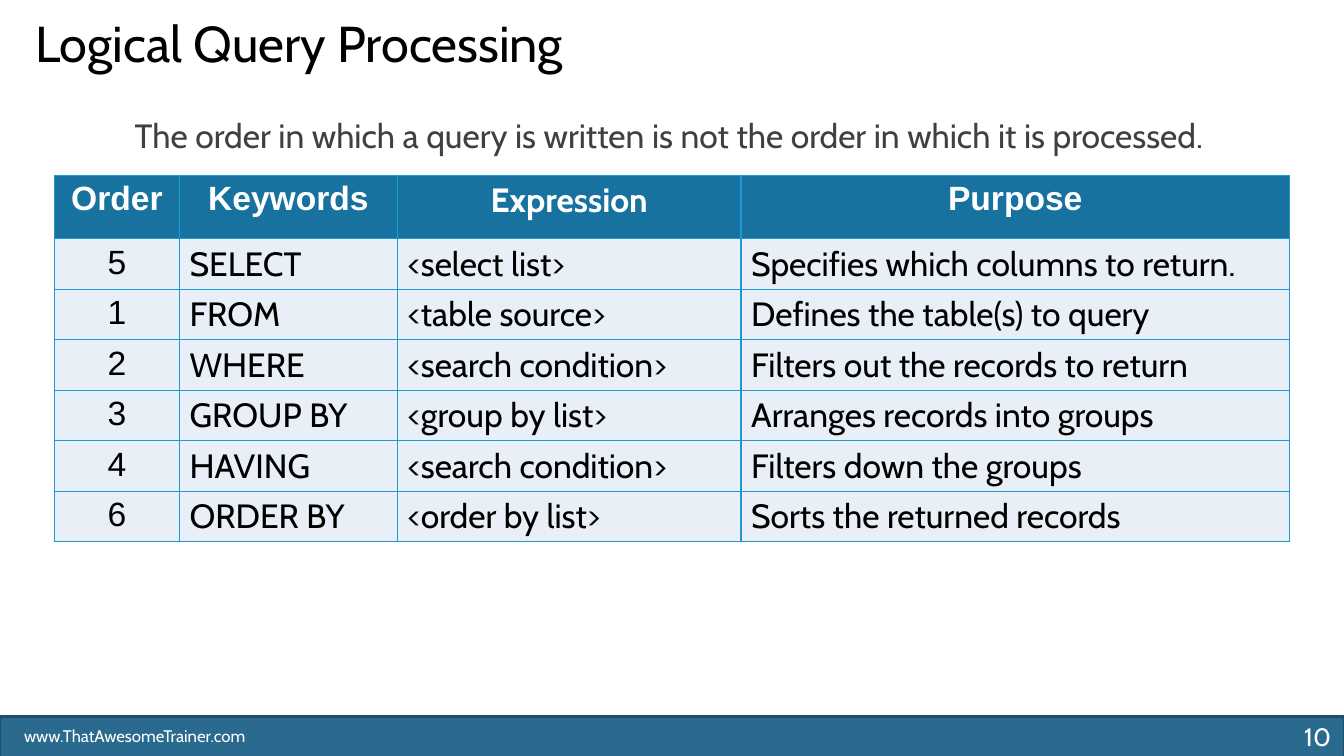
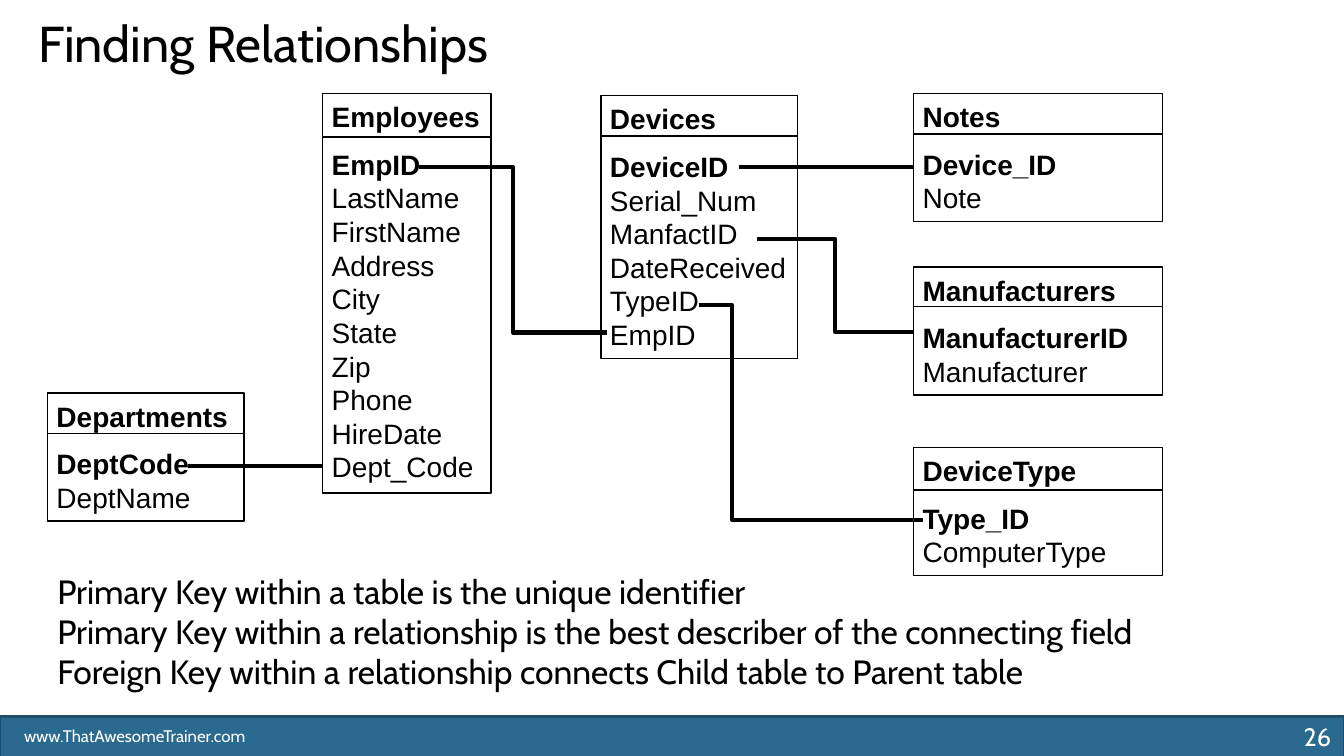
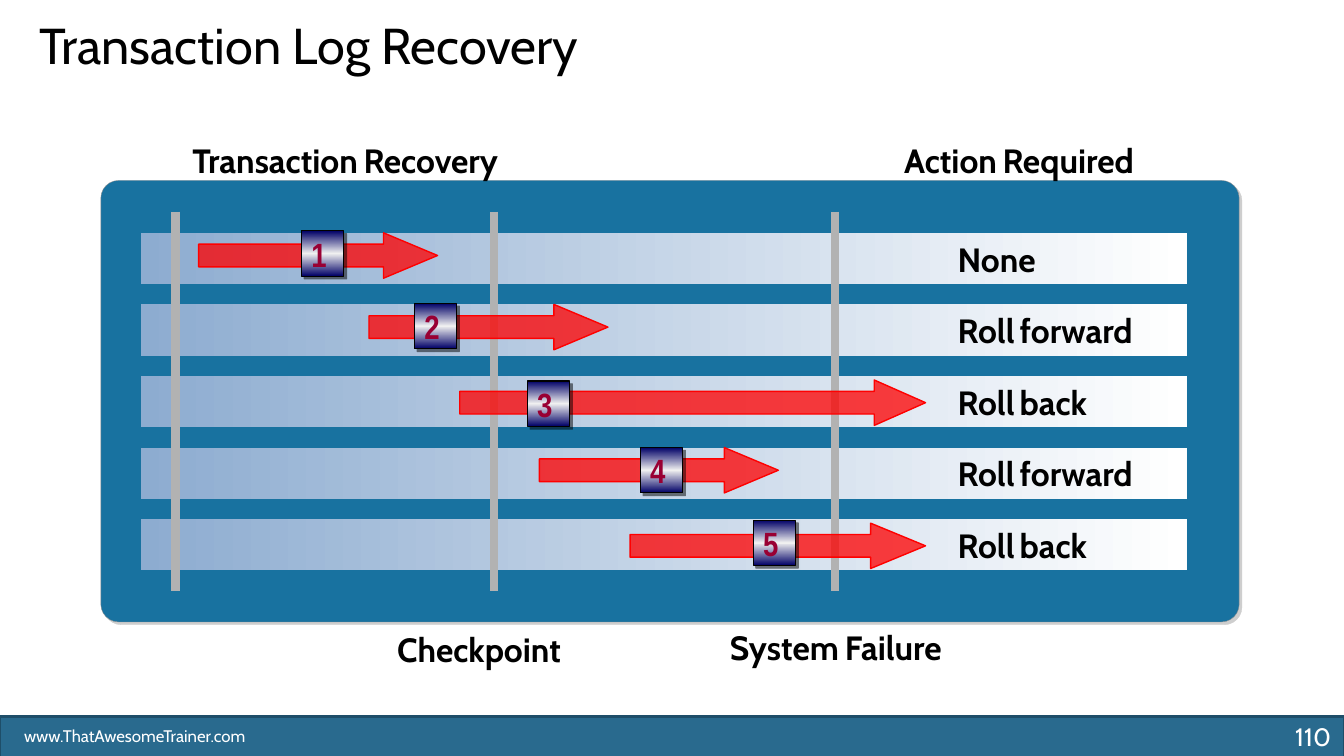
from lxml.etree import SubElement
from pptx import Presentation
from pptx.dml.color import RGBColor
from pptx.enum.shapes import MSO_CONNECTOR, MSO_SHAPE
from pptx.enum.text import MSO_ANCHOR, PP_ALIGN
from pptx.oxml.ns import qn
from pptx.util import Inches, Pt

COLORS = {
    "black": "000000", "white": "FFFFFF", "gray_text": "404040",
    "footer": "296A8E", "footer_edge": "1E4E69",
    "blue": "1872A0", "cell": "E8EFF7", "cell_edge": "2098D5",
    "panel_edge": "919191", "panel_shadow": "CECECE",
    "band": "8DACD0", "marker": "B2B2B2", "red": "FF0000",
    "navy": "000066", "silver": "F0F0F0", "crimson": "990033",
}
HEADING_FONT = "Cabin"
BODY_FONT = "Arial"

ORDER_TABLE = [
    ("Order", "Keywords", "Expression", "Purpose"),
    ("5", "SELECT", "<select list>", "Specifies which columns to return."),
    ("1", "FROM", "<table source>", "Defines the table(s) to query"),
    ("2", "WHERE", "<search condition>", "Filters out the records to return"),
    ("3", "GROUP BY", "<group by list>", "Arranges records into groups"),
    ("4", "HAVING", "<search condition>", "Filters down the groups"),
    ("6", "ORDER BY", "<order by list>", "Sorts the returned records"),
]
COLUMN_WIDTHS = (1.24, 2.16, 3.41, 5.44)

# name, left, top, width, height, rule height, key field, other fields
ENTITIES = [
    ("Employees", 3.2, 0.93, 1.67, 3.96, 1.36, "EmpID",
     ["LastName", "FirstName", "Address", "City", "State", "Zip", "Phone",
      "HireDate", "Dept_Code"]),
    ("Devices", 5.96, 0.95, 1.95, 2.61, 1.35, "DeviceID",
     ["Serial_Num", "ManfactID", "DateReceived", "TypeID", "EmpID"]),
    ("Departments", 0.47, 3.9, 1.95, 1.27, 4.3, "DeptCode", ["DeptName"]),
    ("Notes", 9.06, 0.93, 2.47, 1.27, 1.33, "Device_ID", ["Note"]),
    ("Manufacturers", 9.06, 2.65, 2.47, 1.27, 3.04, "ManufacturerID", ["Manufacturer"]),
    ("DeviceType", 9.06, 4.44, 2.47, 1.27, 4.86, "Type_ID", ["ComputerType"]),
]
# start, end, share of the width at which an elbow turns
RELATIONS = [
    ((4.16, 1.66), (6.02, 3.3), 0.5),
    ((7.51, 2.37), (9.06, 3.29), 0.5),
    ((6.93, 3.03), (9.15, 5.16), 0.15),
    ((7.33, 1.66), (9.06, 1.66), None),
    ((1.86, 4.62), (3.2, 4.62), None),
]
KEY_NOTES = [
    "Primary Key within a table is the unique identifier",
    "Primary Key within a relationship is the best describer of the connecting field",
    "Foreign Key within a relationship connects Child table to Parent table",
]
# action, arrow left, arrow top, arrow width, arrow head ratio, badge top
TRANSACTIONS = [
    ("None", 1.97, 2.31, 2.37, 1.19, 2.29),
    ("Roll forward", 3.66, 3.02, 2.37, 1.19, 3.01),
    ("Roll back", 4.56, 3.77, 4.62, 1.13, 3.78),
    ("Roll forward", 5.35, 4.44, 2.37, 1.19, 4.44),
    ("Roll back", 6.25, 5.19, 2.93, 1.21, 5.16),
]


def rgb(name):
    return RGBColor.from_string(COLORS[name])


def write(frame, paragraphs, size=24, font=HEADING_FONT, color="black", bold=False,
          align=PP_ALIGN.LEFT, spacing=None, after=0, anchor=MSO_ANCHOR.TOP,
          insets=(0.1, 0.05, 0.1, 0.05)):
    """Fill a frame; a paragraph is a string or a list of (text, overrides) spans.

    The space after applies to the first paragraph only.
    """
    frame.word_wrap = True
    frame.vertical_anchor = anchor
    (frame.margin_left, frame.margin_top,
     frame.margin_right, frame.margin_bottom) = map(Inches, insets)
    for index, spans in enumerate(paragraphs):
        para = frame.add_paragraph() if index else frame.paragraphs[0]
        para.alignment = align
        if spacing:
            para.line_spacing = spacing
        if after and index == 0:
            para.space_after = Pt(after)
        for text, changes in [(spans, {})] if isinstance(spans, str) else spans:
            look = {"size": size, "bold": bold, **changes}
            span = para.add_run()
            span.text = text
            span.font.name = font
            span.font.size = Pt(look["size"])
            span.font.bold = look["bold"]
            span.font.color.rgb = rgb(color)


def add_text(page, at, paragraphs, **style):
    box = page.shapes.add_textbox(*map(Inches, at))
    write(box.text_frame, paragraphs, **style)


def tight_words(phrase, gap_size):
    """Bold words parted by a smaller, regular space."""
    spans = []
    for word in phrase.split():
        if spans:
            spans.append((" ", {"size": gap_size, "bold": False}))
        spans.append((word, {}))
    return [spans]


def add_shape(page, kind, at, fill=None, edge=None, edge_width=1, adjust=()):
    shape = page.shapes.add_shape(kind, *map(Inches, at))
    shape.shadow.inherit = False
    for index, value in enumerate(adjust):
        shape.adjustments[index] = value
    if fill:
        shape.fill.solid()
        shape.fill.fore_color.rgb = rgb(fill)
    else:
        shape.fill.background()
    if edge:
        shape.line.color.rgb = rgb(edge)
        shape.line.width = Pt(edge_width)
    else:
        shape.line.fill.background()
    return shape


def add_color(parent, name, opacity=100):
    color = SubElement(parent, qn("a:srgbClr"), val=COLORS[name])
    if opacity < 100:
        SubElement(color, qn("a:alpha"), val=str(opacity * 1000))


def set_gradient(shape, names, angle):
    shape.fill.gradient()
    shape.fill.gradient_angle = angle
    stops = shape._element.spPr.find(qn("a:gradFill")).find(qn("a:gsLst"))
    stops.clear()
    for index, name in enumerate(names):
        position = 100000 * index // (len(names) - 1)
        add_color(SubElement(stops, qn("a:gs"), pos=str(position)), name)


def cast_shadow(shape, name, opacity=100):
    effects = shape._element.spPr.find(qn("a:effectLst"))
    shadow = SubElement(effects, qn("a:outerShdw"), blurRad="0",
                        dist=str(Pt(2.8)), dir="2700000", algn="ctr", rotWithShape="0")
    add_color(shadow, name, opacity)


def add_line(page, start, end, color="black", width=1, turn=None):
    kind = MSO_CONNECTOR.STRAIGHT if turn is None else MSO_CONNECTOR.ELBOW
    line = page.shapes.add_connector(kind, *map(Inches, start + end))
    line.line.color.rgb = rgb(color)
    line.line.width = Pt(width)
    properties = line._element.spPr
    SubElement(properties, qn("a:effectLst"))
    if turn is not None:
        guides = properties.find(qn("a:prstGeom")).find(qn("a:avLst"))
        SubElement(guides, qn("a:gd"), name="adj1", fmla=f"val {round(turn * 100000)}")


def add_page(deck, title, number, title_left, title_top=0.18):
    """Blank page with the footer band and the title."""
    page = deck.slides.add_slide(deck.slide_layouts[6])
    add_shape(page, MSO_SHAPE.RECTANGLE, (0, 7.11, 13.33, 0.4), "footer", "footer_edge", 2)
    add_text(page, (0.14, 7.15, 2.55, 0.3), ["www.ThatAwesomeTrainer.com"],
             size=12, color="white")
    add_text(page, (12.52, 7.11, 0.78, 0.4), [str(number)],
             size=18, color="white", align=PP_ALIGN.RIGHT)
    add_text(page, (title_left, title_top, 12, 1.25), [title], size=36, spacing=Pt(35))
    return page


def style_cell(cell, fill):
    properties = cell._tc.get_or_add_tcPr()
    for side in ("lnL", "lnR", "lnT", "lnB"):
        border = SubElement(properties, qn(f"a:{side}"), w=str(Pt(1)))
        add_color(SubElement(border, qn("a:solidFill")), "cell_edge")
    cell.fill.solid()
    cell.fill.fore_color.rgb = rgb(fill)


def add_order_table(page):
    header_height, row_height = 0.63, 0.5
    height = header_height + row_height * (len(ORDER_TABLE) - 1)
    table = page.shapes.add_table(len(ORDER_TABLE), len(COLUMN_WIDTHS), Inches(0.54),
                                  Inches(1.74), Inches(sum(COLUMN_WIDTHS)),
                                  Inches(height)).table
    for column, width in zip(table.columns, COLUMN_WIDTHS):
        column.width = Inches(width)
    for row, values in enumerate(ORDER_TABLE):
        header = row == 0
        table.rows[row].height = Inches(header_height if header else row_height)
        for column, value in enumerate(values):
            cell = table.cell(row, column)
            style_cell(cell, "blue" if header else "cell")
            arial = column == 0 or header and value != "Expression"
            write(cell.text_frame, [value], bold=header,
                  font=BODY_FONT if arial else HEADING_FONT,
                  color="white" if header else "black",
                  align=PP_ALIGN.CENTER if header or column == 0 else PP_ALIGN.LEFT)


def add_entity(page, name, left, top, width, height, rule, key, fields):
    box = add_shape(page, MSO_SHAPE.RECTANGLE, (left, top, width, height), edge="black")
    heading, key_field = ([(text, {"bold": True})] for text in (name, key))
    write(box.text_frame, [heading, key_field, *fields], size=20, font=BODY_FONT,
          spacing=Pt(24), after=10, insets=(0.09, 0.06, 0, 0))
    add_line(page, (left, rule), (left + width, rule))


def add_recovery_chart(page):
    panel = add_shape(page, MSO_SHAPE.ROUNDED_RECTANGLE, (1, 1.79, 11.29, 4.38),
                      "blue", "panel_edge", 0.25, [0.04])
    cast_shadow(panel, "panel_shadow")
    for phrase, at in (("Transaction Recovery", (1.81, 1.34, 4.1, 0.5)),
                       ("Action Required", (8.87, 1.34, 2.93, 0.5)),
                       ("Checkpoint", (3.84, 6.19, 1.99, 0.5)),
                       ("System Failure", (7.14, 6.17, 2.48, 0.5))):
        add_text(page, at, tight_words(phrase, 18), bold=True)

    for index, (action, *_) in enumerate(TRANSACTIONS):
        top = 2.31 + 0.71 * index
        band = add_shape(page, MSO_SHAPE.RECTANGLE, (1.4, top, 10.37, 0.51))
        set_gradient(band, ("band", "white"), 0)
        add_text(page, (9.4, top + 0.1, 2.37, 0.4), tight_words(action, 16),
                 bold=True, spacing=0.75)
    for x in (1.74, 4.9, 8.28):
        add_line(page, (x, 2.1), (x, 5.86), "marker", 6)

    for index, (_, left, top, width, head, badge_top) in enumerate(TRANSACTIONS):
        arrow = add_shape(page, MSO_SHAPE.RIGHT_ARROW, (left, top, width, 0.45),
                          "red", "red", 1, [0.5, head])
        paint = arrow._element.spPr.find(qn("a:solidFill"))
        paint.clear()
        add_color(paint, "red", 75)
        badge = add_shape(page, MSO_SHAPE.RECTANGLE,
                          (2.99 + 1.12 * index, badge_top, 0.42, 0.45),
                          edge="black", edge_width=0.75)
        set_gradient(badge, ("navy", "silver", "navy"), 90)
        cast_shadow(badge, "black", 50)
        write(badge.text_frame, [str(index + 1)], font="Arial Narrow", color="crimson",
              bold=True, anchor=MSO_ANCHOR.MIDDLE, insets=(0.1, 0.05, 0, 0.05))


def main():
    deck = Presentation()
    deck.slide_width, deck.slide_height = Inches(13.33), Inches(7.5)

    page = add_page(deck, "Logical Query Processing", 10, 0.25)
    add_text(page, (0.51, 1.09, 12.25, 0.5),
             ["The order in which a query is written is not the order in which it is processed."],
             color="gray_text", align=PP_ALIGN.CENTER)
    add_order_table(page)

    page = add_page(deck, "Finding Relationships", 26, 0.28)
    for entity in ENTITIES:
        add_entity(page, *entity)
    for start, end, turn in RELATIONS:
        add_line(page, start, end, width=3, turn=turn)
    add_text(page, (0.47, 5.61, 11.81, 1.31), KEY_NOTES)

    page = add_page(deck, "Transaction Log Recovery", 110, 0.29, 0.2)
    add_recovery_chart(page)

    deck.save("out.pptx")


if __name__ == "__main__":
    main()
